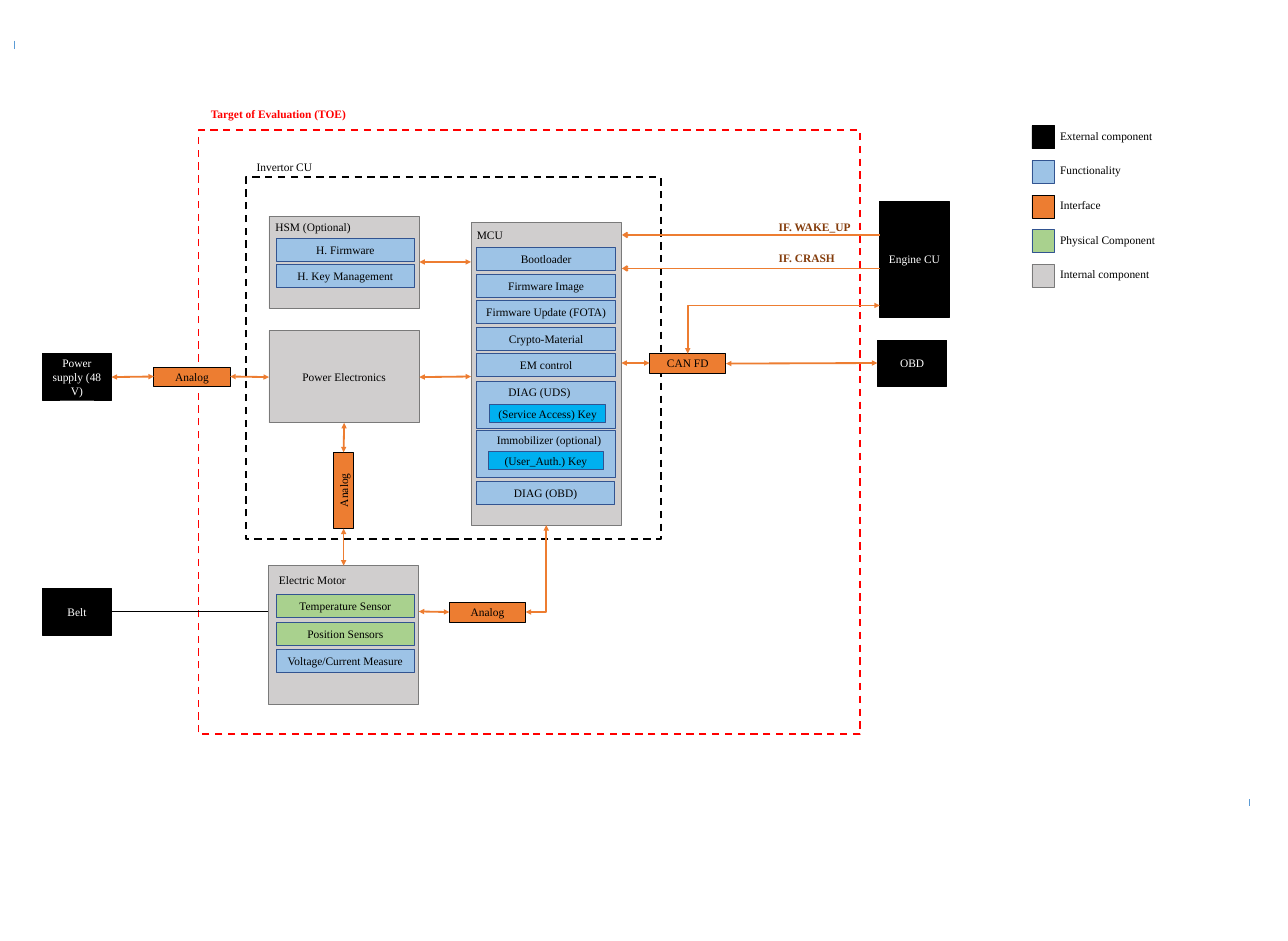
from lxml import etree
from pptx import Presentation
from pptx import util as u
from pptx.dml.color import RGBColor
from pptx.enum import dml, shapes, text
from pptx.oxml.ns import qn

PX = 9144  # 100 px to the inch
FONT = "Times New Roman"
LEFT, CENTER = text.PP_ALIGN.LEFT, text.PP_ALIGN.CENTER
TOP, MIDDLE = text.MSO_ANCHOR.TOP, text.MSO_ANCHOR.MIDDLE
BLACK, ORANGE = "000000", "ED7D31"
# Fill, line and font colour of each kind of block
EXTERNAL = (BLACK, BLACK, "FFFFFF")
FUNCTION = ("9DC3E6", "325491", BLACK)
INTERFACE = (ORANGE, BLACK, BLACK)
PHYSICAL = ("A9D18E", "325491", BLACK)
INTERNAL = ("D0CECE", "7A7A7A", BLACK)
KEY = ("00B0F0", "325491", BLACK)
ITEM_W, ITEM_H = 236, 39


def px(*lengths):
    return [u.Emu(length * PX) for length in lengths]


def rgb(code):
    return RGBColor.from_string(code)


def write(frame, words, colour=BLACK, align=LEFT, anchor=TOP, bold=False, wrap=True):
    frame.text = words
    frame.word_wrap = wrap
    frame.auto_size = text.MSO_AUTO_SIZE.NONE
    frame.vertical_anchor = anchor
    paragraph = frame.paragraphs[0]
    paragraph.alignment = align
    font = paragraph.font
    font.name, font.size, font.bold = FONT, u.Pt(14), bold
    font.color.rgb = rgb(colour)


def label(slide, box, words, **style):
    caption = slide.shapes.add_textbox(*px(*box))
    write(caption.text_frame, words, **style)


def block(slide, box, kind, words="", rotation=0):
    fill, edge, ink = kind
    part = slide.shapes.add_shape(shapes.MSO_SHAPE.RECTANGLE, *px(*box))
    part.shadow.inherit = False
    part.fill.solid()
    part.fill.fore_color.rgb = rgb(fill)
    part.line.color.rgb = rgb(edge)
    part.line.width = u.Pt(1)
    part.rotation = rotation
    if words:
        write(part.text_frame, words, ink, CENTER, MIDDLE)


def boundary(slide, box, colour):
    border = slide.shapes.add_shape(shapes.MSO_SHAPE.RECTANGLE, *px(*box))
    border.shadow.inherit = False
    border.fill.background()
    border.line.color.rgb = rgb(colour)
    border.line.width = u.Pt(2.25)
    border.line.dash_style = dml.MSO_LINE.DASH


def link(slide, ends, colour=ORANGE, width=2.25, head=None, tail=None, bent=False):
    """Draw a line; a bent one runs level first and then upright."""
    route = shapes.MSO_CONNECTOR.ELBOW if bent else shapes.MSO_CONNECTOR.STRAIGHT
    wire = slide.shapes.add_connector(route, *px(*ends))
    wire.line.color.rgb = rgb(colour)
    wire.line.width = u.Pt(width)
    properties = wire._element.spPr
    if bent:
        properties.find(qn("a:prstGeom")).set("prst", "bentConnector2")
    for tag, arrow in (("a:headEnd", head), ("a:tailEnd", tail)):
        if arrow:
            etree.SubElement(properties.find(qn("a:ln")), qn(tag), type=arrow)
    etree.SubElement(properties, qn("a:effectLst"))


def stack(slide, left, top, step, items):
    for row, (kind, words) in enumerate(items):
        block(slide, (left, top + row * step, ITEM_W, ITEM_H), kind, words)


def hsm(slide, x, y, w, h):
    block(slide, (x, y, w, h), INTERNAL)
    label(slide, (x + 1, y + 2, ITEM_W, 34), "HSM (Optional)")
    stack(slide, x + 12, y + 38, 45,
          [(FUNCTION, "H. Firmware"), (FUNCTION, "H. Key Management")])


def electric_motor(slide, x, y, w, h):
    block(slide, (x, y, w, h), INTERNAL)
    label(slide, (x + 8, y + 8, 174, 34), "Electric Motor")
    stack(slide, x + 13, y + 49, 47,
          [(PHYSICAL, "Temperature Sensor"), (PHYSICAL, "Position Sensors"),
           (FUNCTION, "Voltage/Current Measure")])


def keyed_function(slide, x, y, w, h, title_box, title, key_at, key):
    block(slide, (x, y, w, h), FUNCTION)
    title_x, title_w = title_box
    label(slide, (x + title_x, y, title_w, 34), title, wrap=False)
    key_x, key_y = key_at
    block(slide, (x + key_x, y + key_y, 197, 31), KEY, key)


def mcu(slide, x, y, w, h):
    block(slide, (x, y, w, h), INTERNAL)
    label(slide, (x, y + 4, 174, 34), "MCU")
    functions = ("Bootloader", "Firmware Image", "Firmware Update (FOTA)",
                 "Crypto-Material", "EM control")
    stack(slide, x + 10, y + 43, 45, [(FUNCTION, name) for name in functions])
    keyed_function(slide, x + 10, y + 271, ITEM_W, 79, (44, 126), "DIAG (UDS)",
                   (22, 39), "(Service Access) Key")
    keyed_function(slide, x + 10, y + 354, ITEM_W, 79, (24, 199),
                   "Immobilizer (optional)", (19, 36), "(User_Auth.) Key")
    stack(slide, x + 9, y + 441, 45, [(FUNCTION, "DIAG (OBD)")])


def legend(slide, x, y, swatch, step):
    entries = ((EXTERNAL, "External component"), (FUNCTION, "Functionality"),
               (INTERFACE, "Interface"), (PHYSICAL, "Physical Component"),
               (INTERNAL, "Internal component"))
    for row, (kind, meaning) in enumerate(entries):
        top = y + row * step
        block(slide, (x, top, swatch, swatch), kind)
        label(slide, (x + swatch - 1, top, 236, 34), meaning, anchor=MIDDLE)


def external_components(slide):
    for box, name in (((1498, 343, 118, 197), "Engine CU"),
                      ((1494, 579, 118, 79), "OBD"),
                      ((72, 602, 118, 79), "Power supply (48 V)"),
                      ((72, 1002, 118, 79), "Belt")):
        block(slide, box, EXTERNAL, name)


def interfaces(slide):
    for left, top, name, rotation in ((1106, 602, "CAN FD", 0), (262, 625, "Analog", 0),
                                      (765, 1026, "Analog", 0), (520, 818, "Analog", 270)):
        block(slide, (left, top, 130, 33), INTERFACE, name, rotation)


def links(slide):
    both = dict(head="triangle", tail="triangle")
    for ends in ((1236, 619, 1494, 618), (1106, 618, 1058, 618), (392, 641, 458, 642),
                 (262, 641, 190, 642), (714, 446, 802, 446), (714, 642, 802, 641),
                 (713, 1041, 765, 1042), (585, 770, 586, 720), (585, 900, 585, 963)):
        link(slide, ends, **both)
    for ends in ((895, 1042, 930, 894), (1498, 520, 1171, 602)):
        link(slide, ends, bent=True, **both)
    for level, caption_top, signal in ((400, 369, "IF. WAKE_UP"), (457, 423, "IF. CRASH")):
        link(slide, (1059, level, 1498, level), head="arrow")
        label(slide, (1316, caption_top, 174, 34), signal, colour="843C0B", bold=True)
    link(slide, (190, 1041, 457, 1041), BLACK, 0.5)
    for x, top, bottom in ((24, 69, 84), (2127, 1361, 1373)):
        link(slide, (x, top, x, bottom), "5B9BD5", 0.5)


def toe_heading(slide, x, y, w, h):
    heading = slide.shapes.title
    heading.left, heading.top, heading.width, heading.height = px(x, y, w, h)
    write(heading.text_frame, "Target of Evaluation (TOE)", "FF0000", bold=True)


def main():
    deck = Presentation()
    deck.slide_width, deck.slide_height = px(2193, 1602)
    slide = deck.slides.add_slide(deck.slide_layouts[5])
    toe_heading(slide, 349, 178, 265, 34)
    boundary(slide, (338, 222, 1126, 1028), "FF0000")
    boundary(slide, (419, 302, 706, 616), BLACK)
    label(slide, (427, 268, 174, 34), "Invertor CU")
    hsm(slide, 458, 368, 256, 157)
    block(slide, (458, 563, 256, 157), INTERNAL, "Power Electronics")
    electric_motor(slide, 457, 963, 256, 236)
    mcu(slide, 802, 379, 256, 515)
    external_components(slide)
    interfaces(slide)
    links(slide)
    legend(slide, 1757, 214, 39, 59)
    deck.save("out.pptx")


if __name__ == "__main__":
    main()
